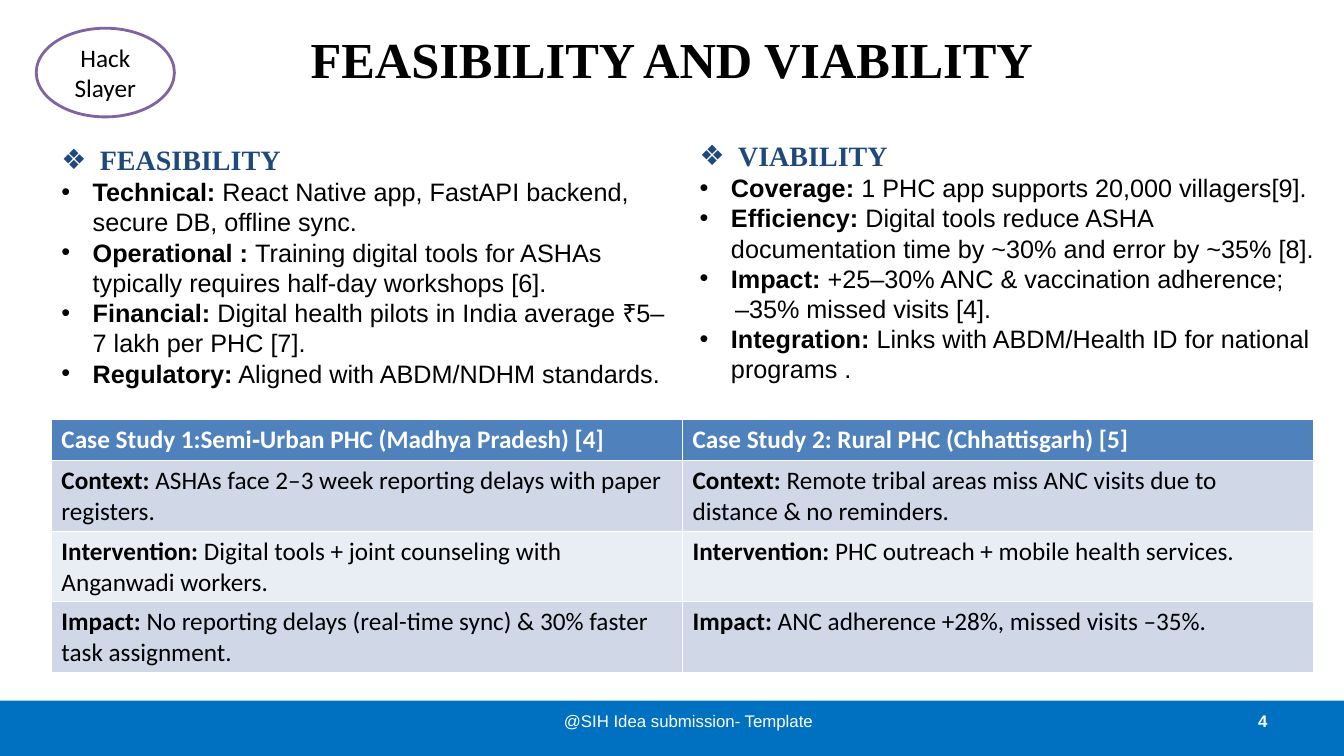
from pptx import Presentation
from pptx.dml.color import RGBColor
from pptx.enum.shapes import MSO_SHAPE
from pptx.enum.text import MSO_ANCHOR, MSO_AUTO_SIZE, PP_ALIGN
from pptx.oxml.ns import qn
from pptx.util import Inches, Pt
from lxml import etree

LEFT, CENTER, RIGHT = PP_ALIGN.LEFT, PP_ALIGN.CENTER, PP_ALIGN.RIGHT
MIDDLE = MSO_ANCHOR.MIDDLE

TITLE = "FEASIBILITY AND VIABILITY"
TEAM = "Hack Slayer"
FOOTER = "@SIH Idea submission- Template"
PAGE = "4"

# Each point is (bold label, text); a point without a label continues the one above.
FEASIBILITY = [
    ("Technical:", " React Native app, FastAPI backend, secure DB, offline sync."),
    ("Operational : ", "Training digital tools for ASHAs typically requires half-day workshops [6]."),
    ("Financial: ", "Digital health pilots in India average ₹5–7 lakh per PHC [7]."),
    ("Regulatory:", " Aligned with ABDM/NDHM standards."),
]
VIABILITY = [
    ("Coverage:", " 1 PHC app supports 20,000 villagers[9]."),
    ("Efficiency:", " Digital tools reduce ASHA documentation time by ~30% and error by ~35% [8]."),
    ("Impact:", " +25–30% ANC & vaccination adherence;"),
    ("", "–35% missed visits [4]."),
    ("Integration:", " Links with ABDM/Health ID for national programs ."),
]
CASE_HEADS = ["Case Study 1:Semi‑Urban PHC (Madhya Pradesh) [4]",
              "Case Study 2: Rural PHC (Chhattisgarh) [5]"]
CASE_ROWS = [
    ("Context:", " ASHAs face 2–3 week reporting delays with paper registers.",
     " Remote tribal areas miss ANC visits due to distance & no reminders."),
    ("Intervention:", " Digital tools + joint counseling with Anganwadi workers.",
     " PHC outreach + mobile health services."),
    ("Impact:", " No reporting delays (real-time sync) & 30% faster task assignment.",
     " ANC adherence +28%, missed visits –35%."),
]


class Theme:
    black, white = "000000", "FFFFFF"
    bar, ring, heading = "0070C0", "8064A2", "1F497D"
    table_head, bands = "4F81BD", ("D0D8E8", "E9EDF4")
    serif, sans, table = "Times New Roman", "Arial", "Calibri"
    title_size, heading_size, body_size, footer_size = 36, 20, 18, 12


W, H = 13.33, 7.5
MARGIN = 0.51
BAR_H = 0.55
FOOTER_H = 0.4
LIST_W, LIST_H = 6.32, 2.73
COL_W = 6.26
TABLE_TOP, HEAD_H, ROW_H = 4.16, 0.41, 0.7


def rgb(color):
    return RGBColor.from_string(color)


def add_run(p, text, size=Theme.body_size, font=Theme.sans, color=Theme.black, bold=False):
    r = p.add_run()
    r.text = text
    r.font.size, r.font.name, r.font.bold = Pt(size), font, bold
    r.font.color.rgb = rgb(color)


def place(shape, left, top, width, height):
    shape.left, shape.top = Inches(left), Inches(top)
    shape.width, shape.height = Inches(width), Inches(height)


def set_bullet(p, char, margin):
    """Hang the paragraph by margin inches behind char, or only indent it if char is None."""
    pPr = p._p.get_or_add_pPr()
    pPr.set("marL", str(Inches(margin)))
    pPr.set("indent", str(-Inches(margin) if char else 0))
    if char:
        etree.SubElement(pPr, qn("a:buFont")).set("typeface", Theme.sans)
        etree.SubElement(pPr, qn("a:buChar")).set("char", char)
    else:
        etree.SubElement(pPr, qn("a:buNone"))


def fill_list(ph, left, top, heading, points):
    place(ph, left, top, LIST_W, LIST_H)
    tf = ph.text_frame
    tf.auto_size = MSO_AUTO_SIZE.NONE
    p = tf.paragraphs[0]
    set_bullet(p, "❖", 0.38)
    p.line_spacing, p.space_before = 1.5, Pt(0)
    add_run(p, heading, Theme.heading_size, Theme.serif, Theme.heading, True)
    for label, text in points:
        p = tf.add_paragraph()
        set_bullet(p, *(("•", 0.31) if label else (None, 0.35)))
        p.space_before = Pt(0)
        if label:
            add_run(p, label, bold=True)
        add_run(p, text)


def add_shape(s, kind, box, fill, line=None):
    sp = s.shapes.add_shape(kind, *map(Inches, box))
    sp.shadow.inherit = False
    sp.fill.solid()
    sp.fill.fore_color.rgb = rgb(fill)
    if line:
        sp.line.color.rgb, sp.line.width = rgb(line), Pt(2)
    else:
        sp.line.fill.background()
    return sp


def add_footer(s, text, left, width, align, bold=False):
    tf = s.shapes.add_textbox(*map(Inches, (left, H - BAR_H, width, FOOTER_H))).text_frame
    tf.word_wrap, tf.vertical_anchor = True, MIDDLE
    p = tf.paragraphs[0]
    p.alignment = align
    add_run(p, text, Theme.footer_size, color=Theme.white, bold=bold)


def add_cases(s):
    rows, cols = len(CASE_ROWS) + 1, len(CASE_HEADS)
    table = s.shapes.add_table(rows, cols, *map(Inches, (
        MARGIN, TABLE_TOP, cols * COL_W, HEAD_H + (rows - 1) * ROW_H))).table
    for i, row in enumerate(table.rows):
        row.height = Inches(ROW_H if i else HEAD_H)
        for j, cell in enumerate(row.cells):
            p = cell.text_frame.paragraphs[0]
            cell.fill.solid()
            if i == 0:
                cell.fill.fore_color.rgb = rgb(Theme.table_head)
                add_run(p, CASE_HEADS[j], font=Theme.table, color=Theme.white, bold=True)
            else:
                cell.fill.fore_color.rgb = rgb(Theme.bands[(i - 1) % 2])
                label, *texts = CASE_ROWS[i - 1]
                add_run(p, label, font=Theme.table, bold=True)
                add_run(p, texts[j], font=Theme.table)


def main():
    prs = Presentation()
    prs.slide_width, prs.slide_height = Inches(W), Inches(H)
    s = prs.slides.add_slide(prs.slide_layouts[3])
    title, left_list, right_list = s.placeholders

    place(title, W * 0.05, -0.05, W * 0.9, 1.25)
    p = title.text_frame.paragraphs[0]
    p.alignment = CENTER
    add_run(p, TITLE, Theme.title_size, Theme.serif, bold=True)

    fill_list(left_list, MARGIN, 1.2, "FEASIBILITY", FEASIBILITY)
    fill_list(right_list, MARGIN + LIST_W + 0.01, 1.16, "VIABILITY", VIABILITY)

    add_shape(s, MSO_SHAPE.RECTANGLE, (0, H - BAR_H, W, BAR_H), Theme.bar)
    add_footer(s, FOOTER, 5.08, 3.5, CENTER)
    add_footer(s, PAGE, 9.56, 3.11, RIGHT, bold=True)

    badge = add_shape(s, MSO_SHAPE.OVAL, (0.36, 0.28, 1.37, 0.88), Theme.white, Theme.ring)
    badge.text_frame.vertical_anchor = MIDDLE
    p = badge.text_frame.paragraphs[0]
    p.alignment = CENTER
    add_run(p, TEAM, font=Theme.table)

    add_cases(s)
    prs.save("out.pptx")


if __name__ == "__main__":
    main()
